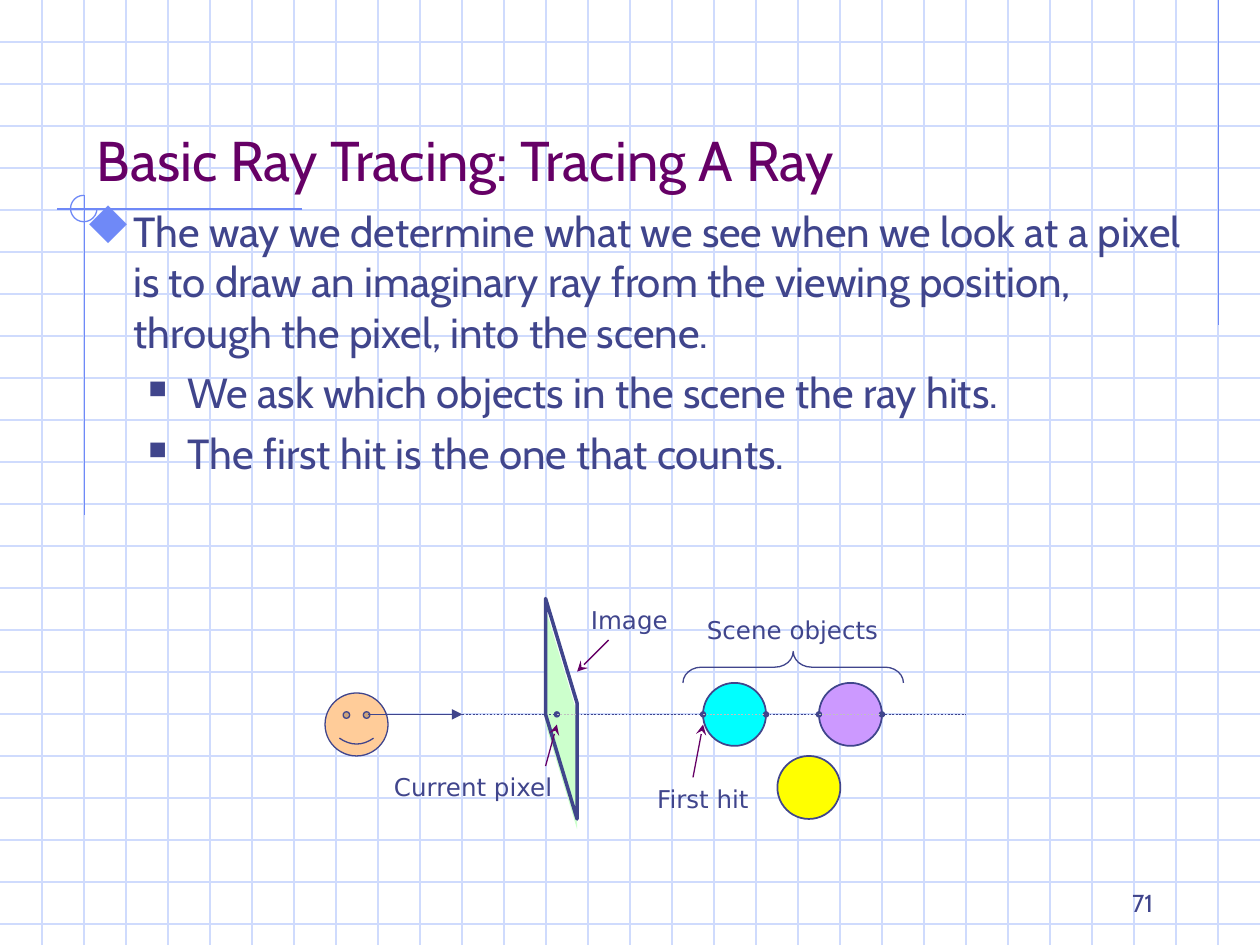
from pptx import Presentation, util as u
from pptx.dml.color import RGBColor
from pptx.enum import dml, shapes, text
from pptx.oxml.ns import qn
from lxml import etree


class Theme:
    ink, plum, blue, grid, gray = "40458C", "660066", "6F89F7", "CFDBFD", "C0C0C0"
    mint, skin, cyan, lilac, sun = "CCFFCC", "FFCC99", "00FFFF", "CC99FF", "FFFF00"
    head, body, note = 32, 24, 14
    main, side, signs = "Cabin", "DejaVu Sans", "Wingdings"


deck = Presentation()
deck.slide_width, deck.slide_height = u.Inches(10), u.Inches(7.5)
page = deck.slides.add_slide(deck.slide_layouts[6])
draw = page.shapes
kind = shapes.MSO_SHAPE
align = text.PP_ALIGN


def write(words, at, size=Theme.note, font=Theme.main, color=Theme.ink,
          side=align.LEFT, anchor=text.MSO_ANCHOR.TOP, marks=None):
    """Fill a text box; marks holds (sign, color, percent, indent, hang) per line."""
    frame = draw.add_textbox(*map(u.Inches, at)).text_frame
    frame.word_wrap, frame.vertical_anchor = True, anchor
    for i, line in enumerate(words.split("\n")):
        para = frame.paragraphs[0] if i == 0 else frame.add_paragraph()
        para.alignment = side
        if i:
            para.space_before = u.Pt(6)
        if marks:
            sign, tint, share, left, hang = marks[i]
            props = para._p.get_or_add_pPr()
            props.set("marL", str(u.Inches(left)))
            props.set("indent", str(-u.Inches(hang)))
            paint = etree.SubElement(props, qn("a:buClr"))
            etree.SubElement(paint, qn("a:srgbClr"), val=tint)
            etree.SubElement(props, qn("a:buSzPct"), val=str(share * 1000))
            etree.SubElement(props, qn("a:buFont"), typeface=Theme.signs,
                             pitchFamily="2", charset="2")
            etree.SubElement(props, qn("a:buChar"), char=sign)
        run = para.add_run()
        run.text = line
        run.font.size, run.font.name = u.Pt(size), font
        run.font.color.rgb = RGBColor.from_string(color)


def rule(x1, y1, x2, y2, color, width=0.75, dots=False, tip=None):
    """Draw a straight line, dotted or with an arrowhead if asked."""
    link = draw.add_connector(shapes.MSO_CONNECTOR.STRAIGHT,
                              *map(u.Inches, (x1, y1, x2, y2)))
    link.line.width = u.Pt(width)
    link.line.color.rgb = RGBColor.from_string(color)
    if dots:
        link.line.dash_style = dml.MSO_LINE.ROUND_DOT
    if tip:
        etree.SubElement(link.line._get_or_add_ln(), qn("a:tailEnd"), type=tip)
    etree.SubElement(link._element.spPr, qn("a:effectLst"))


# Background grid, three squares to the inch
for n in range(1, 23):
    rule(0, n / 3, 10, n / 3, Theme.grid)
for n in range(1, 30):
    rule(n / 3, 0, n / 3, 7.5, Theme.grid)

# Corner rules
for ends in ((9.67, 0, 9.67, 2.58), (2.4, 1.66, 0.45, 1.66), (0.67, 1.55, 0.67, 4.09)):
    rule(*ends, Theme.blue)

# Title and bullets; in the symbol font u is a diamond and n a square
write("Basic Ray Tracing: Tracing A Ray", (0.67, 0.33, 8.5, 1.25), size=Theme.head,
      color=Theme.plum, anchor=text.MSO_ANCHOR.BOTTOM)
sub = ("n", Theme.ink, 60, 0.81, 0.31)
write("The way we determine what we see when we look at a pixel is to draw an "
      "imaginary ray from the viewing position, through the pixel, into the scene.\n"
      "We ask which objects in the scene the ray hits.\n"
      "The first hit is the one that counts.",
      (0.58, 1.58, 9, 5.37), size=Theme.body,
      marks=[("u", Theme.blue, 110, 0.38, 0.38), sub, sub])

# Image plane: tinted pane, with its outline a little higher
for top, fill in ((4.83, Theme.mint), (4.75, None)):
    spots = [(4.33, top), (4.58, top + 0.83), (4.58, top + 1.75), (4.33, top + 0.92)]
    spots = [(u.Inches(x), u.Inches(y)) for x, y in spots]
    path = draw.build_freeform(*spots[0])
    path.add_line_segments(spots[1:], close=True)
    pane = path.convert_to_shape()
    pane.shadow.inherit = False
    if fill:
        pane.fill.solid()
        pane.fill.fore_color.rgb = RGBColor.from_string(fill)
        pane.line.fill.background()
    else:
        pane.fill.background()
        pane.line.color.rgb = RGBColor.from_string(Theme.ink)
        pane.line.width = u.Pt(2)

# Corner arc, viewer, scene objects and brace
ray = 5.67
parts = [
    (kind.ARC, (0.56, 1.55, 0.21, 0.21), None, Theme.blue, 0.75, (0, 162), 0),
    (kind.SMILEY_FACE, (2.58, 5.5, 0.5, 0.5), Theme.skin, Theme.ink, 0.75, (), 0),
    (kind.OVAL, (5.58, 5.42, 0.5, 0.5), Theme.cyan, Theme.ink, 1, (), 0),
    (kind.OVAL, (6.5, 5.42, 0.5, 0.5), Theme.lilac, Theme.ink, 1, (), 0),
    (kind.OVAL, (6.17, 6, 0.5, 0.5), Theme.sun, Theme.ink, 1, (), 0),
    (kind.LEFT_BRACE, (6.17, 4.42, 0.25, 1.75), None, Theme.ink, 0.75, (0.58, 0.5), 90),
]
# Hit points along the ray
parts += [(kind.OVAL, (x - 0.02, ray - 0.02, 0.04, 0.04), Theme.ink, Theme.ink, 0.75, (), 0)
          for x in (4.42, 5.58, 6.08, 6.5, 7)]
for form, at, fill, edge, width, bends, turn in parts:
    part = draw.add_shape(form, *map(u.Inches, at))
    part.shadow.inherit = False
    part.rotation = turn
    for i, bend in enumerate(bends):
        part.adjustments[i] = bend
    if fill:
        part.fill.solid()
        part.fill.fore_color.rgb = RGBColor.from_string(fill)
    else:
        part.fill.background()
    part.line.color.rgb = RGBColor.from_string(edge)
    part.line.width = u.Pt(width)

# Ray: solid start, then dots that pale inside objects
rule(2.92, ray, 3.67, ray, Theme.ink, width=1, tip="triangle")
stops = (3.67, 4.42, 4.58, 5.58, 6.08, 6.5, 7, 7.67)
for i, (x1, x2) in enumerate(zip(stops, stops[1:])):
    rule(x1, ray, x2, ray, Theme.gray if i in (1, 3, 5) else Theme.ink, width=1, dots=True)

# Labels and their pointers
for ends in ((5.5, 6.17, 5.58, 5.75), (4.33, 6.08, 4.42, 5.75), (4.83, 5.08, 4.58, 5.33)):
    rule(*ends, Theme.plum, tip="stealth")
for name, x, y, wide in (("First hit", 5.08, 6.17, 1), ("Current pixel", 2.92, 6.08, 1.67),
                         ("Image", 4.58, 4.75, 0.83), ("Scene objects", 5.5, 4.83, 1.58)):
    write(name, (x, y, wide, 0.34), font=Theme.side, side=align.CENTER)

# Page number
write("71", (7.17, 6.83, 2.08, 0.5), side=align.RIGHT, anchor=text.MSO_ANCHOR.BOTTOM)

deck.save("out.pptx")
